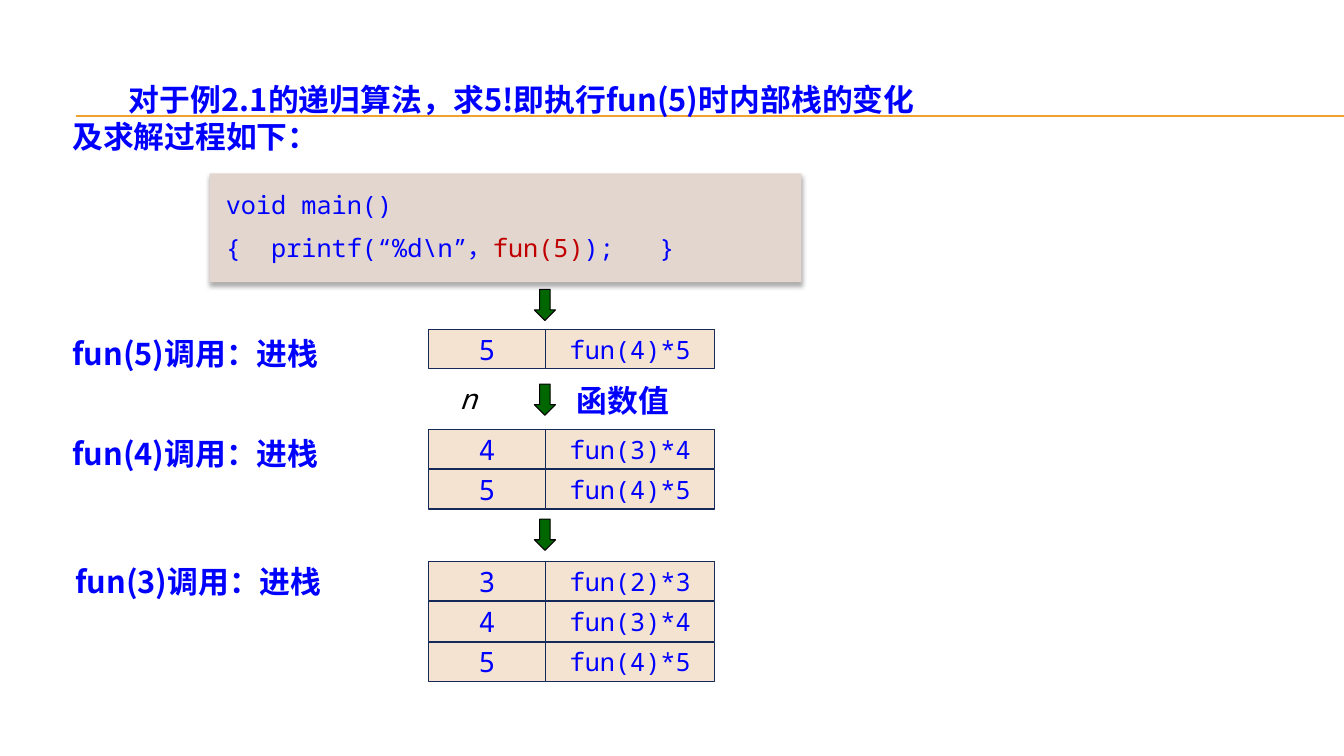
from lxml.etree import SubElement
from pptx import Presentation
from pptx.dml.color import RGBColor
from pptx.enum.shapes import MSO_CONNECTOR, MSO_SHAPE
from pptx.enum.text import MSO_ANCHOR, MSO_AUTO_SIZE, PP_ALIGN
from pptx.oxml.ns import qn
from pptx.util import Inches, Pt

COLORS = {
    "rule": "F0A22E", "text": "0000FF", "accent": "C00000", "code": "E2D6CF",
    "cell": "F5E3D1", "border": "152958", "arrow": "006600", "black": "000000",
}
SANS, MONO = "Noto Sans CJK SC", "Noto Sans Mono"
HEADING = {"name": SANS, "size": Pt(22), "bold": True}
CODE = {"name": MONO, "size": Pt(18)}
NUMBER = {"name": MONO, "size": Pt(20)}
SYMBOL = {"name": MONO, "size": Pt(20), "italic": True}


class StackSlide:
    """Draws the parts of the recursion stack diagram on one slide."""

    def __init__(self, slide):
        self.shapes = slide.shapes

    def color(self, name):
        return RGBColor.from_string(COLORS[name])

    def rule(self, left, right, top):
        line = self.shapes.add_connector(
            MSO_CONNECTOR.STRAIGHT, Inches(left), Inches(top), Inches(right), Inches(top))
        line.line.color.rgb = self.color("rule")
        line.line.width = Pt(0.75)
        SubElement(line._element.spPr, qn("a:effectLst"))

    def add_text(self, paragraph, text, style, color="text"):
        run = paragraph.add_run()
        run.text = text
        for key, value in style.items():
            setattr(run.font, key, value)
        run.font.color.rgb = self.color(color)
        SubElement(run._r.get_or_add_rPr(), qn("a:ea"), typeface=style["name"])

    def label(self, box, text, style=HEADING, color="text", align=PP_ALIGN.JUSTIFY, indent=0):
        frame = self.shapes.add_textbox(*map(Inches, box)).text_frame
        frame.word_wrap = True
        frame.auto_size = MSO_AUTO_SIZE.SHAPE_TO_FIT_TEXT
        paragraph = frame.paragraphs[0]
        paragraph.alignment = align
        if indent:
            properties = paragraph._p.get_or_add_pPr()
            properties.set("marL", "0")
            properties.set("indent", str(Inches(indent)))
        self.add_text(paragraph, text, style, color)

    def block(self, kind, box, fill, border=None):
        shape = self.shapes.add_shape(kind, *map(Inches, box))
        shape.shadow.inherit = False
        shape.fill.solid()
        shape.fill.fore_color.rgb = self.color(fill)
        if border:
            shape.line.color.rgb = self.color(border)
            shape.line.width = Pt(0.75)
        else:
            shape.line.fill.background()
        return shape

    def code(self, box, lines):
        shape = self.block(MSO_SHAPE.RECTANGLE, box, "code")
        effects = shape._element.spPr.find(qn("a:effectLst"))
        shadow = SubElement(effects, qn("a:outerShdw"), blurRad=str(Pt(3.5)),
                            dist=str(Pt(2.2)), dir="5400000", rotWithShape="0")
        tint = SubElement(shadow, qn("a:srgbClr"), val=COLORS["black"])
        SubElement(tint, qn("a:alpha"), val="32000")
        frame = shape.text_frame
        layout = {"margin_left": Inches(0.16), "margin_top": Inches(0.16),
                  "margin_bottom": Inches(0.16), "word_wrap": True,
                  "vertical_anchor": MSO_ANCHOR.TOP}
        for key, value in layout.items():
            setattr(frame, key, value)
        for index, pieces in enumerate(lines):
            paragraph = frame.add_paragraph() if index else frame.paragraphs[0]
            paragraph.alignment = PP_ALIGN.LEFT
            if index:
                paragraph.space_before = Pt(9)
            for text, color in pieces:
                self.add_text(paragraph, text, CODE, color)

    def arrow(self, top):
        self.block(MSO_SHAPE.DOWN_ARROW, (5.3, top, 0.21, 0.31), "arrow", "black")

    def cell(self, box, text, style):
        frame = self.block(MSO_SHAPE.RECTANGLE, box, "cell", "border").text_frame
        frame.word_wrap = False
        frame.vertical_anchor = MSO_ANCHOR.MIDDLE
        frame.paragraphs[0].alignment = PP_ALIGN.CENTER
        self.add_text(frame.paragraphs[0], text, style)

    def stack(self, top, smallest):
        for row, n in enumerate(range(smallest, 6)):
            y = top + row * 0.4
            self.cell((4.25, y, 1.16, 0.39), str(n), NUMBER)
            self.cell((5.41, y, 1.68, 0.39), f"fun({n - 1})*{n}", CODE)


def main():
    deck = Presentation()
    deck.slide_width, deck.slide_height = Inches(13.33), Inches(7.5)
    page = StackSlide(deck.slides.add_slide(deck.slide_layouts[6]))

    for rule_top in (1.15, 1.16):
        page.rule(0.75, 13.33, rule_top)
    page.label((0.62, 0.75, 8.55, 0.84),
               "对于例2.1的递归算法，求5!即执行fun(5)时内部栈的变化及求解过程如下：", indent=0.56)
    page.code((2.08, 1.72, 5.87, 1.08), [
        [("void main()", "text")],
        [("{  printf(“%d\\n”，", "text"), ("fun(5)", "accent"), (");   }", "text")],
    ])

    calls = [(5, 2.87, 3.27, 0.62, 3.27), (4, 3.81, 4.26, 0.62, 4.26),
             (3, 5.15, 5.57, 0.65, 5.53)]
    for n, arrow_top, stack_top, label_left, label_top in calls:
        page.arrow(arrow_top)
        page.stack(stack_top, n)
        page.label((label_left, label_top, 3.47, 0.47), f"fun({n})调用：进栈")

    page.label((4.46, 3.74, 0.63, 0.43), "n", SYMBOL, "black", PP_ALIGN.LEFT)
    page.label((5.62, 3.74, 1.79, 0.47), "函数值")
    deck.save("out.pptx")


if __name__ == "__main__":
    main()
